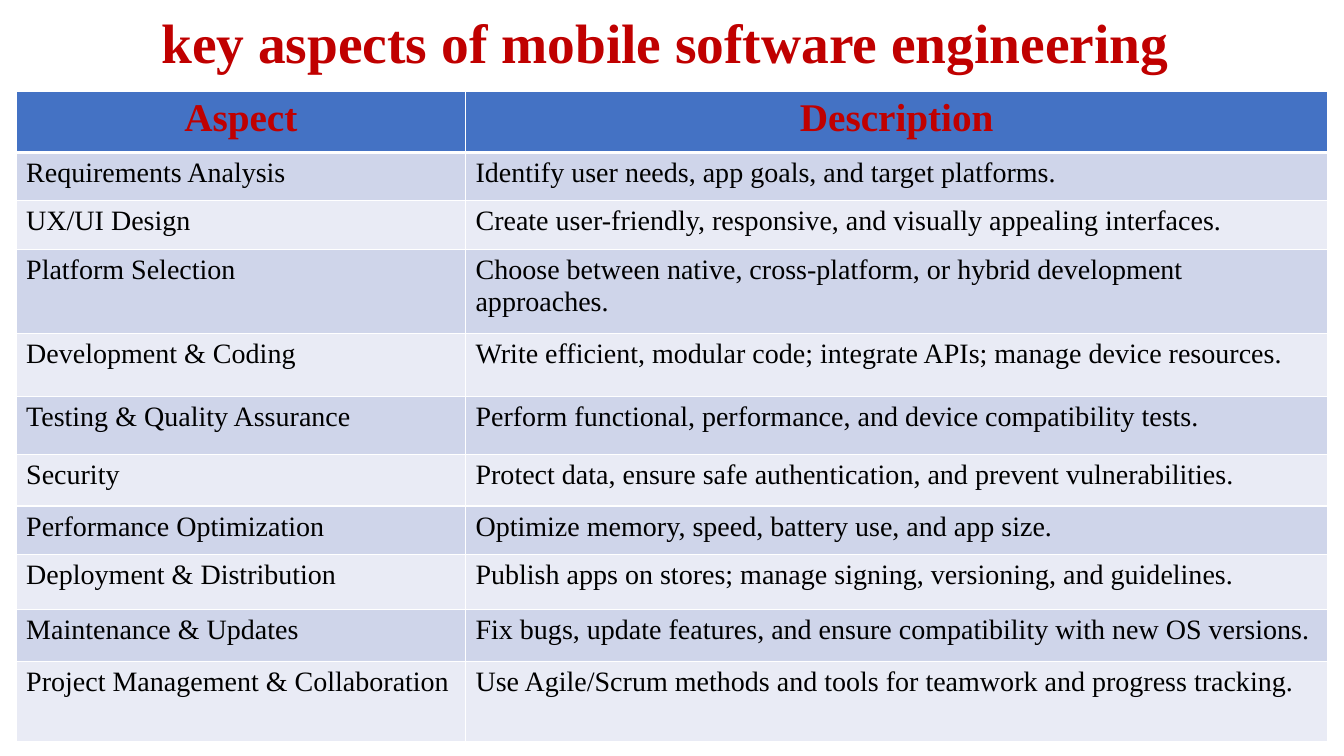
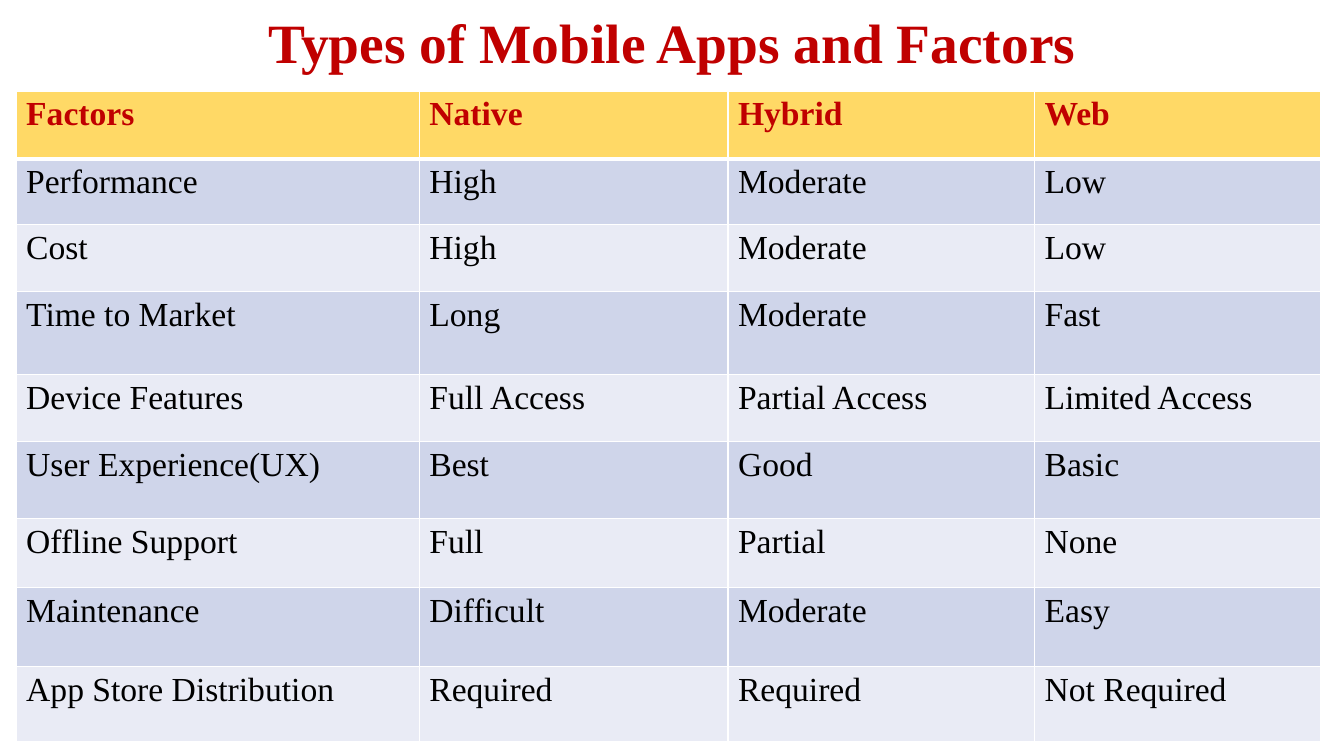
from lxml.etree import SubElement
from pptx import Presentation
from pptx.dml.color import RGBColor
from pptx.enum.text import MSO_ANCHOR, PP_ALIGN
from pptx.oxml.ns import qn
from pptx.util import Pt

FONT = "Times New Roman"
RED, BLACK, WHITE = "C00000", "000000", "FFFFFF"
BLUE, YELLOW = "4472C4", "FFD966"
BANDS = ("CFD5EA", "E9EBF5")
TITLE_BOX = (66, 10, 828, 45)
TABLE_CORNER = (11.5, 65)

ASPECTS = [
    ("Aspect", "Description"),
    ("Requirements Analysis", "Identify user needs, app goals, and target platforms."),
    ("UX/UI Design", "Create user-friendly, responsive, and visually appealing interfaces."),
    ("Platform Selection",
     "Choose between native, cross-platform, or hybrid development approaches."),
    ("Development & Coding",
     "Write efficient, modular code; integrate APIs; manage device resources."),
    ("Testing & Quality Assurance",
     "Perform functional, performance, and device compatibility tests."),
    ("Security", "Protect data, ensure safe authentication, and prevent vulnerabilities."),
    ("Performance Optimization", "Optimize memory, speed, battery use, and app size."),
    ("Deployment & Distribution",
     "Publish apps on stores; manage signing, versioning, and guidelines."),
    ("Maintenance & Updates",
     "Fix bugs, update features, and ensure compatibility with new OS versions."),
    ("Project Management & Collaboration",
     "Use Agile/Scrum methods and tools for teamwork and progress tracking."),
]
ASPECT_WIDTHS = (321, 616)
ASPECT_HEIGHTS = (44, 34.5, 35, 60, 45, 41, 37, 34.5, 39.5, 37, 57.5)

FACTORS = [
    ("Factors", "Native", "Hybrid", "Web"),
    ("Performance", "High", "Moderate", "Low"),
    ("Cost", "High", "Moderate", "Low"),
    ("Time to Market", "Long", "Moderate", "Fast"),
    ("Device Features", "Full Access", "Partial Access", "Limited Access"),
    ("User Experience(UX)", "Best", "Good", "Basic"),
    ("Offline Support", "Full", "Partial", "None"),
    ("Maintenance", "Difficult", "Moderate", "Easy"),
    ("App Store Distribution", "Required", "Required", "Not Required"),
]
FACTOR_WIDTHS = (288, 220.5, 219, 204.5)
FACTOR_HEIGHTS = (48.5, 47, 47.5, 59.5, 48, 55, 49, 56.5, 53.5)


def color(value):
    return RGBColor.from_string(value)


def write(para, text, size, ink, bold=False, align=PP_ALIGN.LEFT):
    para.alignment = align
    span = para.add_run()
    span.text = text
    span.font.name = FONT
    span.font.size = Pt(size)
    span.font.bold = bold
    span.font.color.rgb = color(ink)


def add_title(page, text, box):
    left, top, width, height = box
    frame = page.shapes.add_textbox(Pt(left), Pt(top), Pt(width), Pt(height)).text_frame
    frame.word_wrap = True
    frame.vertical_anchor = MSO_ANCHOR.MIDDLE
    para = frame.paragraphs[0]
    para.line_spacing = 0.9
    write(para, text, 39.6, RED, True, PP_ALIGN.CENTER)


def set_borders(cell, top, bottom):
    """Draw white cell borders; top and bottom are their widths in points."""
    properties = cell._tc.get_or_add_tcPr()
    for side, width in (("L", 1), ("R", 1), ("T", top), ("B", bottom)):
        line = SubElement(properties, qn(f"a:ln{side}"), w=str(Pt(width)))
        fill = SubElement(line, qn("a:solidFill"))
        SubElement(fill, qn("a:srgbClr"), val=WHITE)


def add_banded_table(page, corner, rows, widths, heights, header_fill,
                     header_size, body_size, header_align=PP_ALIGN.LEFT):
    left, top = corner
    table = page.shapes.add_table(len(rows), len(widths), Pt(left), Pt(top),
                                  Pt(sum(widths)), Pt(sum(heights))).table
    for column, width in zip(table.columns, widths):
        column.width = Pt(width)
    for row, height in zip(table.rows, heights):
        row.height = Pt(height)
    for i, texts in enumerate(rows):
        header = i == 0
        for j, text in enumerate(texts):
            cell = table.cell(i, j)
            set_borders(cell, top=3 if i == 1 else 1, bottom=3 if header else 1)
            cell.fill.solid()
            cell.fill.fore_color.rgb = color(header_fill if header else BANDS[(i - 1) % 2])
            para = cell.text_frame.paragraphs[0]
            if header:
                write(para, text, header_size, RED, True, header_align)
            else:
                write(para, text, body_size, BLACK)


def add_table_page(deck, title, *table, **options):
    """Add a slide with a title above one banded table."""
    page = deck.slides.add_slide(deck.slide_layouts[6])
    add_title(page, title, TITLE_BOX)
    add_banded_table(page, TABLE_CORNER, *table, **options)


def main():
    deck = Presentation()
    deck.slide_width, deck.slide_height = Pt(960), Pt(540)
    add_table_page(deck, "key aspects of mobile software engineering ",
                   ASPECTS, ASPECT_WIDTHS, ASPECT_HEIGHTS, header_fill=BLUE,
                   header_size=28, body_size=20, header_align=PP_ALIGN.CENTER)
    add_table_page(deck, "Types of Mobile Apps and Factors",
                   FACTORS, FACTOR_WIDTHS, FACTOR_HEIGHTS, header_fill=YELLOW,
                   header_size=24, body_size=24)
    deck.save("out.pptx")


if __name__ == "__main__":
    main()
